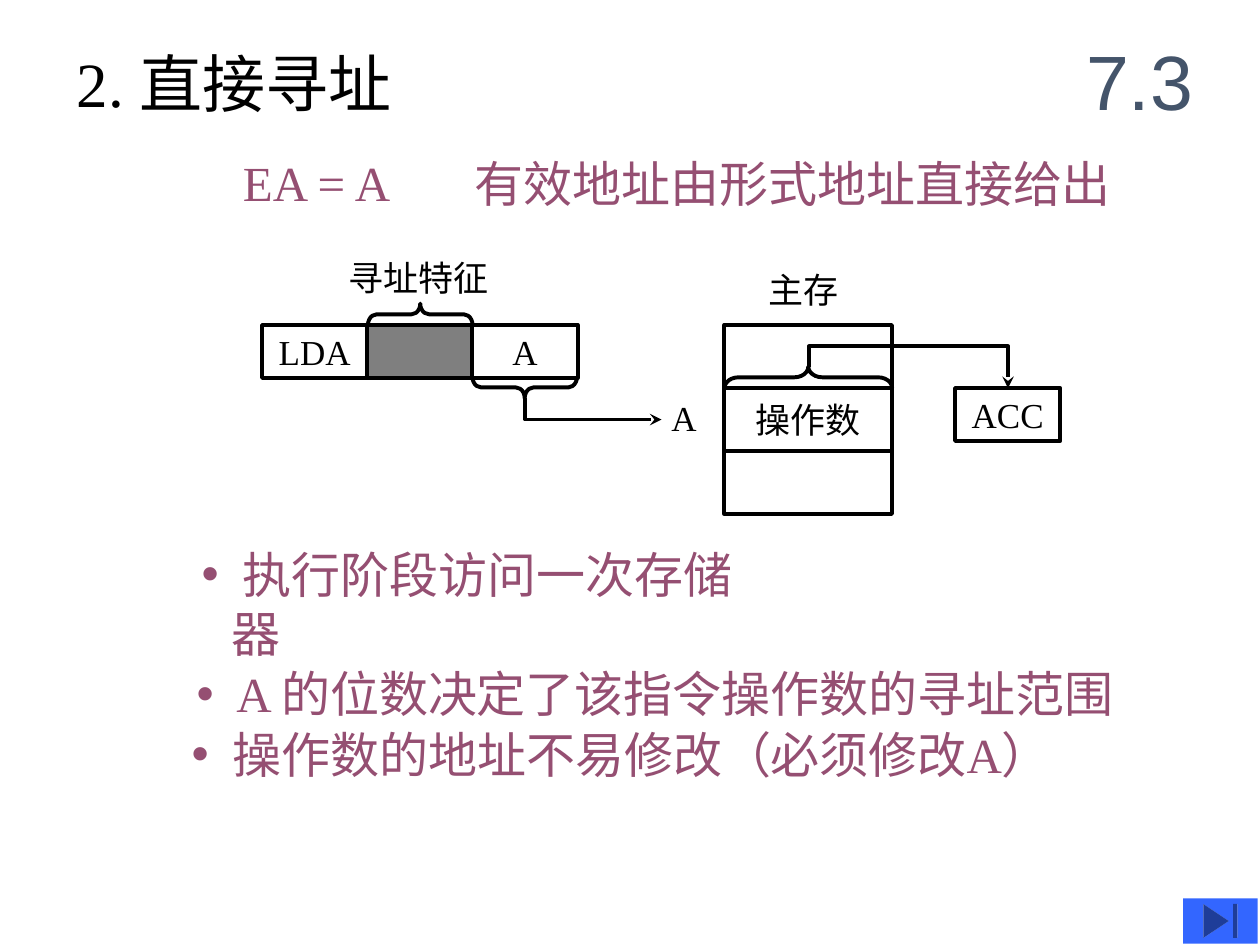
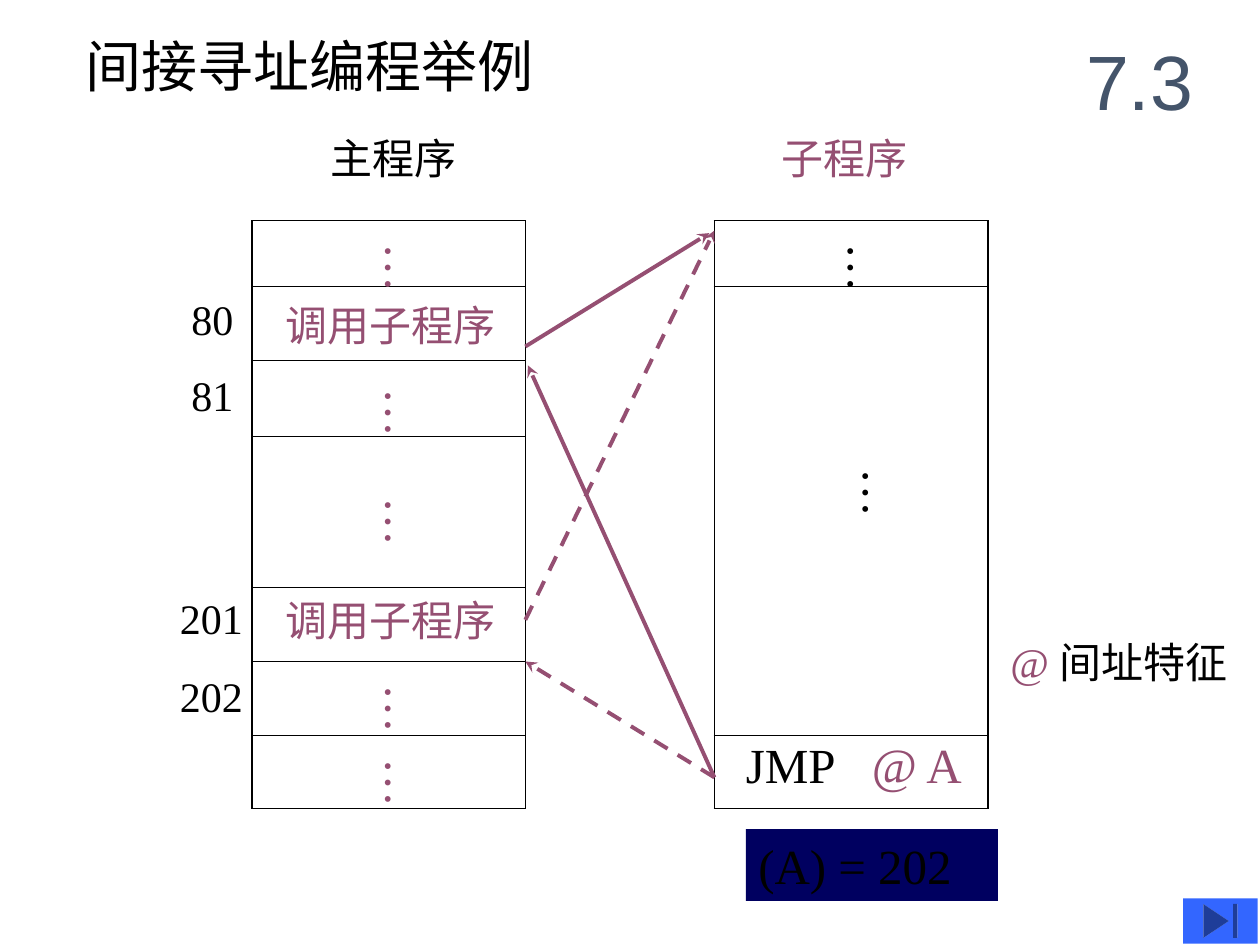
from lxml.etree import SubElement
from pptx import Presentation
from pptx.dml.color import RGBColor
from pptx.enum.dml import MSO_LINE
from pptx.enum.shapes import MSO_CONNECTOR, MSO_SHAPE
from pptx.enum.text import MSO_ANCHOR, MSO_AUTO_SIZE, PP_ALIGN
from pptx.oxml.ns import qn
from pptx.util import Inches, Pt

BLACK = RGBColor(0x00, 0x00, 0x00)
PLUM = RGBColor(0x95, 0x4F, 0x72)
SLATE = RGBColor(0x44, 0x54, 0x6A)
NAVY = RGBColor(0x00, 0x00, 0x60)
BLUE = RGBColor(0x33, 0x66, 0xFF)
SERIF = "Times New Roman"


def write_text(shape, lines, size, color, align=PP_ALIGN.LEFT, anchor=MSO_ANCHOR.TOP, font=SERIF):
    frame = shape.text_frame
    frame.text = lines
    frame.word_wrap = True
    frame.auto_size = MSO_AUTO_SIZE.NONE
    frame.vertical_anchor = anchor
    for paragraph in frame.paragraphs:
        paragraph.alignment = align
        paragraph.space_before = Pt(0)
        paragraph.font.size = Pt(size)
        paragraph.font.name = font
        paragraph.font.color.rgb = color
    return frame


def draw_line(shape, color, dashed=False, arrow=False):
    shape.line.color.rgb = color
    shape.line.width = Pt(2.25)
    if dashed:
        shape.line.dash_style = MSO_LINE.DASH
    properties = shape.element.spPr
    if arrow:
        SubElement(properties.find(qn("a:ln")), qn("a:tailEnd"), type="stealth")
    SubElement(properties, qn("a:effectLst"))


presentation = Presentation()
presentation.slide_width = Inches(10)
presentation.slide_height = Inches(7.5)

direct = presentation.slides.add_slide(presentation.slide_layouts[1])
indirect = presentation.slides.add_slide(presentation.slide_layouts[5])

for slide, heading, size, left, top in [
    (direct, "2. 直接寻址", 36, 0.51, 0.3),
    (indirect, "间接寻址编程举例", 32, 0.58, 0.2),
]:
    title = slide.shapes.title
    title.left, title.top = Inches(left), Inches(top)
    title.width, title.height = Inches(4.83), Inches(0.7)
    write_text(title, heading, size, BLACK)

for label, size, color, left, top, width in [
    ("EA = A", 28, PLUM, 1.83, 1.16, 1.6),
    ("有效地址由形式地址直接给出", 28, PLUM, 3.67, 1.17, 5.75),
    ("主存", 20, BLACK, 6, 2.08, 0.9),
    ("寻址特征", 20, BLACK, 2.67, 1.99, 1.5),
    ("A", 20, BLACK, 5.23, 3.1, 0.5),
]:
    box = direct.shapes.add_textbox(Inches(left), Inches(top), Inches(width), Inches(0.57))
    write_text(box, label, size, color)

MEMORY_LEFT, MEMORY_WIDTH = 5.75, 1.33
FIELD_LEFT, FIELD_TOP, FIELD_WIDTH, FIELD_HEIGHT = 2.08, 2.58, 0.835, 0.42
cells = [(text, MEMORY_LEFT, FIELD_TOP + row * 0.5, MEMORY_WIDTH, 0.5)
         for row, text in enumerate(["", "操作数", ""])]
cells += [(text, FIELD_LEFT + column * FIELD_WIDTH, FIELD_TOP, FIELD_WIDTH, FIELD_HEIGHT)
          for column, text in enumerate(["LDA", "", "A"])]
cells.append(("ACC", 7.58, 3.08, FIELD_WIDTH, FIELD_HEIGHT))
for text, left, top, width, height in cells:
    cell = direct.shapes.add_shape(
        MSO_SHAPE.RECTANGLE, Inches(left), Inches(top), Inches(width), Inches(height))
    cell.fill.background()
    if not text and left < MEMORY_LEFT:
        cell.fill.solid()
        cell.fill.fore_color.rgb = BLACK
        fill_color = cell.element.spPr.find(qn("a:solidFill")).find(qn("a:srgbClr"))
        SubElement(fill_color, qn("a:alpha"), val="50000")
    draw_line(cell, BLACK)
    if text:
        write_text(cell, text, 20, BLACK, PP_ALIGN.CENTER, MSO_ANCHOR.MIDDLE)

BRACE_DEPTH = 0.17
for left, top, span, rotation in [
    (3.25, 2.08, 0.83, 90), (4.08, 2.66, 0.83, 270), (6.33, 2.33, 1.33, 90),
]:
    brace = direct.shapes.add_shape(
        MSO_SHAPE.LEFT_BRACE, Inches(left), Inches(top), Inches(BRACE_DEPTH), Inches(span))
    brace.adjustments[0] = span / 12 / BRACE_DEPTH
    brace.rotation = rotation
    brace.fill.background()
    draw_line(brace, BLACK)

for start, *corners in [
    [(4.17, 3.16), (4.17, 3.33), (5.25, 3.33)],
    [(6.42, 2.91), (6.42, 2.75), (8, 2.75), (8, 3.08)],
]:
    builder = direct.shapes.build_freeform(Inches(start[0]), Inches(start[1]))
    builder.add_line_segments([(Inches(x), Inches(y)) for x, y in corners], close=False)
    route = builder.convert_to_shape()
    route.fill.background()
    draw_line(route, BLACK, arrow=True)

body = direct.placeholders[1]
body.left, body.top, body.width, body.height = Inches(1.42), Inches(4.27), Inches(7.54), Inches(2.95)
points = [
    (" 执行阶段访问一次存储器", 0.08, 2.77),
    (" A 的位数决定了该指令操作数的寻址范围", 0.04, 0),
    (" 操作数的地址不易修改（必须修改A）", 0, 0.44),
]
frame = write_text(body, "\n".join(text for text, _, _ in points), 28, PLUM)
for paragraph, (_, shift, right) in zip(frame.paragraphs, points):
    properties = paragraph._p.get_or_add_pPr()
    properties.set("marL", str(Inches(0.24 + shift)))
    properties.set("marR", str(Inches(right)))
    properties.set("indent", str(-Inches(0.24)))
    paragraph.space_after = Pt(1)

MAIN_LEFT, SUB_LEFT, COLUMN_TOP, COLUMN_WIDTH = 2, 5.67, 1.75, 2.17
for left, heights in [
    (MAIN_LEFT, [0.52, 0.59, 0.6, 1.2, 0.59, 0.59, 0.58]),
    (SUB_LEFT, [0.52, 3.57, 0.58]),
]:
    table = indirect.shapes.add_table(
        len(heights), 1, Inches(left), Inches(COLUMN_TOP),
        Inches(COLUMN_WIDTH), Inches(sum(heights))).table
    table.first_row = table.horz_banding = False
    for row, height in zip(table.rows, heights):
        row.height = Inches(height)
        properties = row.cells[0]._tc.get_or_add_tcPr()
        for side, width in [("L", 1.08), ("R", 1.08), ("T", 0.45), ("B", 0.45)]:
            border = SubElement(properties, qn(f"a:ln{side}"), w=str(Pt(width)))
            SubElement(SubElement(border, qn("a:solidFill")), qn("a:srgbClr"), val=str(BLACK))
        row.cells[0].fill.background()

for x1, y1, x2, y2, dashed in [
    (4.17, 2.75, 5.63, 1.85, False),
    (5.67, 6.17, 4.19, 2.9, False),
    (4.17, 4.92, 5.67, 1.83, True),
    (5.67, 6.17, 4.17, 5.25, True),
]:
    arrow = indirect.shapes.add_connector(
        MSO_CONNECTOR.STRAIGHT, Inches(x1), Inches(y1), Inches(x2), Inches(y2))
    draw_line(arrow, PLUM, dashed, arrow=True)

for label, color, left, top, width, align in [
    ("主程序", BLACK, 2.25, 1, 1.75, PP_ALIGN.CENTER),
    ("子程序", PLUM, 5.83, 1, 1.75, PP_ALIGN.CENTER),
    ("80", BLACK, 1.42, 2.28, 0.83, PP_ALIGN.LEFT),
    ("81", BLACK, 1.42, 2.88, 0.83, PP_ALIGN.LEFT),
    ("201", BLACK, 1.33, 4.65, 0.83, PP_ALIGN.LEFT),
    ("202", BLACK, 1.33, 5.27, 0.83, PP_ALIGN.LEFT),
    ("调用子程序", PLUM, 2.17, 2.33, 1.92, PP_ALIGN.LEFT),
    ("调用子程序", PLUM, 2.17, 4.67, 1.92, PP_ALIGN.LEFT),
]:
    box = indirect.shapes.add_textbox(Inches(left), Inches(top), Inches(width), Inches(0.5))
    write_text(box, label, 24, color, align)

for color, left, top in [
    (PLUM, 2.84, 1.83), (PLUM, 2.84, 2.98), (PLUM, 2.84, 3.85), (PLUM, 2.84, 5.33),
    (PLUM, 2.84, 5.92), (BLACK, 6.51, 1.83), (BLACK, 6.63, 3.62),
]:
    dots = indirect.shapes.add_textbox(Inches(left), Inches(top), Inches(0.66), Inches(0.6))
    frame = write_text(dots, "…", 28, color)
    frame.margin_left = frame.margin_right = Inches(0.05)
    frame.margin_top = frame.margin_bottom = Inches(0.1)
    frame._txBody.bodyPr.set("vert", "eaVert")

jump = indirect.shapes.add_textbox(Inches(5.92), Inches(5.78), Inches(2.08), Inches(0.57))
frame = write_text(jump, "", 28, BLACK)
frame.margin_left = 0
paragraph = frame.paragraphs[0]
paragraph.clear()
properties = paragraph._p.get_or_add_pPr()
tabs = properties.makeelement(qn("a:tabLst"))
SubElement(tabs, qn("a:tab"), pos=str(Inches(1)), algn="l")
properties.find(qn("a:defRPr")).addprevious(tabs)
mark = indirect.shapes.add_textbox(Inches(7.92), Inches(5), Inches(2.08), Inches(0.5))
frame = write_text(mark, "", 24, BLACK)
for paragraph, size, parts in [
    (paragraph, 28, [("JMP\t", BLACK), ("@ A", PLUM)]),
    (frame.paragraphs[0], 24, [("@ ", PLUM), ("间址特征", BLACK)]),
]:
    for text, color in parts:
        run = paragraph.add_run()
        run.text = text
        run.font.size = Pt(size)
        run.font.name = SERIF
        run.font.color.rgb = color

content = indirect.shapes.add_shape(
    MSO_SHAPE.RECTANGLE, Inches(5.92), Inches(6.58), Inches(2), Inches(0.57))
content.shadow.inherit = False
content.fill.solid()
content.fill.fore_color.rgb = NAVY
content.line.fill.background()
write_text(content, "(A) = 202", 28, BLACK, anchor=MSO_ANCHOR.MIDDLE)

for slide in presentation.slides:
    section = slide.shapes.add_textbox(Inches(8.42), Inches(0.17), Inches(1.25), Inches(0.92))
    write_text(section, "7.3", 44, SLATE, PP_ALIGN.CENTER, MSO_ANCHOR.MIDDLE, "Arial")
    button = slide.shapes.add_shape(
        MSO_SHAPE.ACTION_BUTTON_END, Inches(9.39), Inches(7.13), Inches(0.59), Inches(0.36))
    button.shadow.inherit = False
    button.fill.solid()
    button.fill.fore_color.rgb = BLUE
    button.line.fill.background()

presentation.save("out.pptx")
